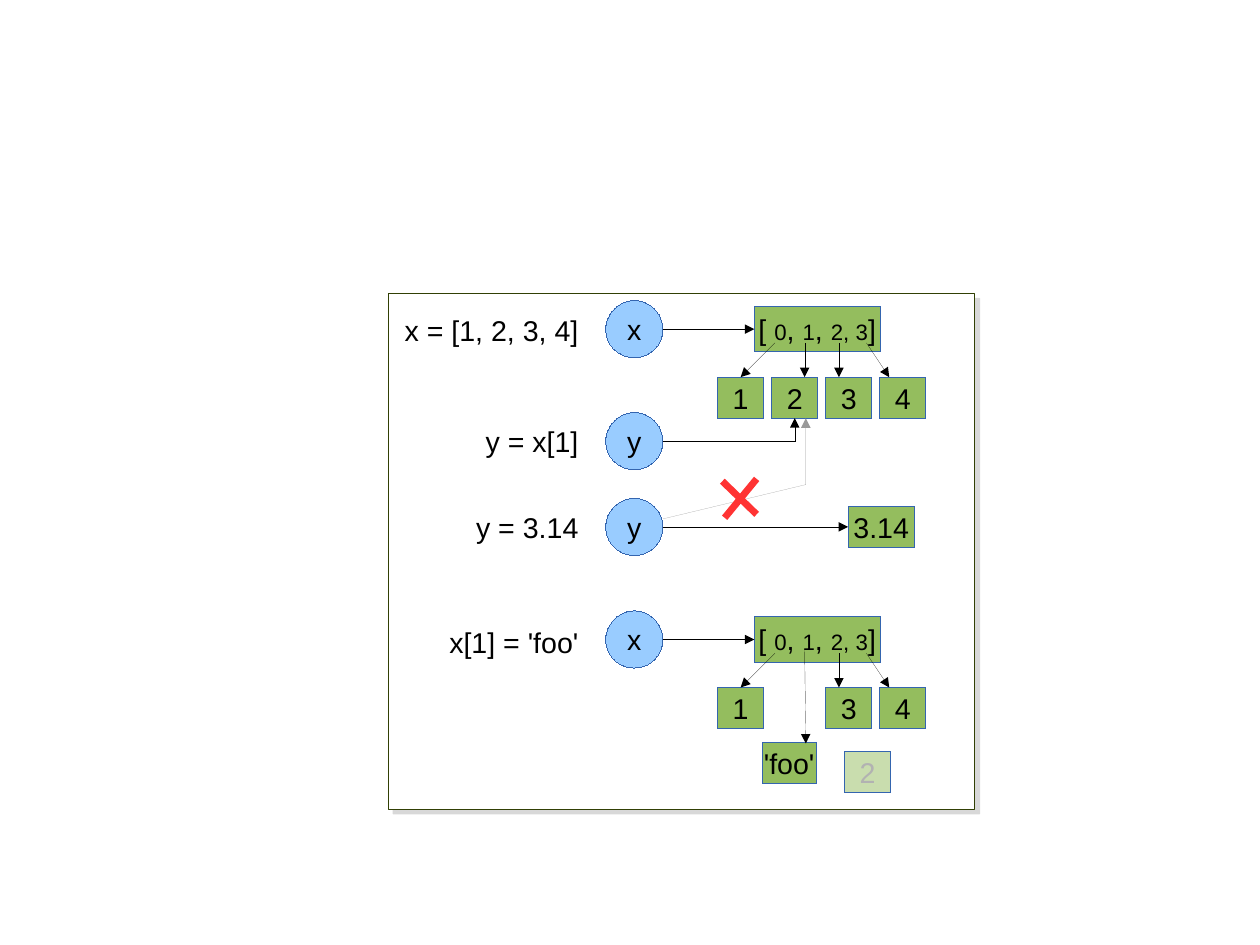
from lxml import etree
from pptx import Presentation
from pptx.dml.color import RGBColor
from pptx.enum.shapes import MSO_CONNECTOR, MSO_SHAPE
from pptx.enum.text import MSO_ANCHOR, PP_ALIGN
from pptx.oxml.ns import qn
from pptx.util import Cm, Inches, Pt

RECT, OVAL = MSO_SHAPE.RECTANGLE, MSO_SHAPE.OVAL
STRAIGHT, ELBOW = MSO_CONNECTOR.STRAIGHT, MSO_CONNECTOR.ELBOW
MIDDLE = MSO_ANCHOR.MIDDLE
CENTER, RIGHT = PP_ALIGN.CENTER, PP_ALIGN.RIGHT
TOP, LEFT = 0, 1

# Grid unit; all lengths below are counted in it, from the panel's corner
U = Inches(0.1)
PANEL = (34, 25.7, 51.3, 45.1)
NAME_X, NAME_D = 19, 5
LIST_X, LIST_W, LIST_H = 32, 11, 4
ITEM_X, ITEM_STEP, ITEM_W, ITEM_H = 28.8, 4.73, 4, 3.6
ITEM_DROP = 6.7
GREEN, BLUE, EDGE, BLACK = "94BD5E", "99CCFF", "3465AF", "000000"
INDEX_RUNS = [("[ ", 18), ("0", 14), (", ", 18), ("1", 14), (", ", 18),
              ("2, 3", 14), ("]", 18)]


def rgb(value):
    return RGBColor.from_string(value)


def at(x, y):
    return round((PANEL[0] + x) * U), round((PANEL[1] + y) * U)


def size(w, h):
    return round(w * U), round(h * U)


def write(tf, runs, align, color=BLACK):
    p = tf.paragraphs[0]
    p.alignment = align
    p.font.name = "Arial"
    p.font.size = Pt(18)
    p.font.color.rgb = rgb(color)
    for text, points in runs:
        r = p.add_run()
        r.text = text
        if points != 18:
            r.font.size = Pt(points)


def stroke(sp, color, width, head=False):
    """Line colour and width (0 is a hairline, written out), and arrowhead."""
    sp.line.color.rgb = rgb(color)
    ln = sp._element.spPr.find(qn("a:ln"))
    ln.set("w", str(Pt(width)))
    if head:
        etree.SubElement(ln, qn("a:tailEnd"), type="triangle")


def shape(s, kind, x, y, w, h, fill, edge=EDGE, width=0):
    sp = s.shapes.add_shape(kind, *at(x, y), *size(w, h))
    sp.shadow.inherit = False
    sp.fill.solid()
    sp.fill.fore_color.rgb = rgb(fill)
    stroke(sp, edge, width)
    return sp


def node(s, kind, x, y, w, h, fill, runs, color=BLACK):
    sp = shape(s, kind, x, y, w, h, fill)
    tf = sp.text_frame
    tf.word_wrap = False
    tf.vertical_anchor = MIDDLE
    write(tf, runs, CENTER, color)
    return sp


def set_alpha(color_element, percent):
    etree.SubElement(color_element, qn("a:alpha"), val=str(percent * 1000))


def connect(s, start, end, kind=STRAIGHT, color=BLACK, width=0, head=True):
    c = s.shapes.add_connector(kind, *at(*start), *at(*end))
    stroke(c, color, width, head)
    etree.SubElement(c._element.spPr, qn("a:effectLst"))
    return c


def panel(s):
    sp = shape(s, RECT, 0, 0, *PANEL[2:], "FFFFFF", "314004", 0.71)
    effects = sp._element.spPr.find(qn("a:effectLst"))
    shadow = etree.SubElement(effects, qn("a:outerShdw"), dist=str(Pt(4.1)),
                              dir="2700000", algn="tl", rotWithShape="0")
    set_alpha(etree.SubElement(shadow, qn("a:srgbClr"), val="808080"), 30)


def statement(s, y, code_y, code, name):
    """Code on the left and the circle of the variable it binds."""
    tb = s.shapes.add_textbox(*at(0, code_y), *size(17.6, 3.8))
    tb.text_frame.word_wrap = True
    write(tb.text_frame, [(code, 18)], RIGHT)
    node(s, OVAL, NAME_X, y, NAME_D, NAME_D, BLUE, [(name, 18)])


def bind(s, y, target):
    """Arrow from the circle at y to the left side of its value."""
    mid = y + NAME_D / 2
    c = connect(s, (NAME_X + NAME_D, mid), (LIST_X, mid))
    c.end_connect(target, LEFT)


def list_object(s, y, items):
    """List box with its items below; None leaves a gap."""
    box = node(s, RECT, LIST_X, y + 0.5, LIST_W, LIST_H, GREEN, INDEX_RUNS)
    bind(s, y, box)
    item_y = y + ITEM_DROP
    ends = [(33.8, 30.8), (36.4, 36.4), (39.4, 39.4), (41.8, 43.8)]
    for i, (item, (x1, x2)) in enumerate(zip(items, ends)):
        if item is None:
            continue
        sp = node(s, RECT, ITEM_X + i * ITEM_STEP, item_y, ITEM_W, ITEM_H,
                  GREEN, [(item, 18)])
        c = connect(s, (x1, item_y - 3), (x2, item_y))
        if i == 0:
            c.end_connect(sp, TOP)


def item_reference(s, y, item_bottom):
    """Elbow arrow from the circle up to the second item."""
    c = connect(s, (NAME_X + NAME_D, y + NAME_D / 2),
                (ITEM_X + ITEM_STEP + ITEM_W / 2, item_bottom), ELBOW)
    c._element.spPr.find(qn("a:prstGeom")).set("prst", "bentConnector2")


def rebinding(s, y, item_bottom):
    """New value for the name, and the old reference crossed out."""
    value = node(s, RECT, 40.2, y + 0.7, 5.8, ITEM_H, GREEN, [("3.14", 18)])
    bind(s, y, value)
    fb = s.shapes.build_freeform(*at(NAME_X + NAME_D, y + 1.8))
    fb.add_line_segments([at(36.5, y - 1.2), at(36.5, item_bottom)], close=False)
    old = fb.convert_to_shape()
    old.shadow.inherit = False
    old.fill.background()
    stroke(old, "999999", 0, True)
    for start, end in [((29.2, y - 1.5), (32.2, y + 1.4)),
                       ((32.2, y - 1.7), (29.4, y + 1.7))]:
        connect(s, start, end, color="FF3333", width=4.31, head=False)


def replaced_item(s, y):
    """New second item, and the old one faded."""
    faded = node(s, RECT, 39.9, y + 12.3, ITEM_W, ITEM_H, GREEN, [("2", 18)], "B2B2B2")
    set_alpha(faded._element.spPr.find(qn("a:solidFill"))[0], 50)
    node(s, RECT, 32.7, y + 11.5, 4.7, ITEM_H, GREEN, [("'foo'", 18)])
    connect(s, (36.4, y + 3.4), (36.5, y + 11.6))


def main():
    prs = Presentation()
    prs.slide_width, prs.slide_height = Cm(28), Cm(21)
    s = prs.slides.add_slide(prs.slide_layouts[6])
    panel(s)

    rows = [(0.6, 1.2, "x = [1, 2, 3, 4]", "x"), (10.4, 10.9, "y = x[1]", "y"),
            (17.9, 18.4, "y = 3.14", "y"), (27.75, 28.5, "x[1] = 'foo'", "x")]
    for row in rows:
        statement(s, *row)
    create_y, read_y, rebind_y, assign_y = [row[0] for row in rows]
    item_bottom = create_y + ITEM_DROP + ITEM_H

    list_object(s, create_y, ["1", "2", "3", "4"])
    item_reference(s, read_y, item_bottom)
    rebinding(s, rebind_y, item_bottom)
    list_object(s, assign_y, ["1", None, "3", "4"])
    replaced_item(s, assign_y)
    prs.save("out.pptx")


if __name__ == "__main__":
    main()
